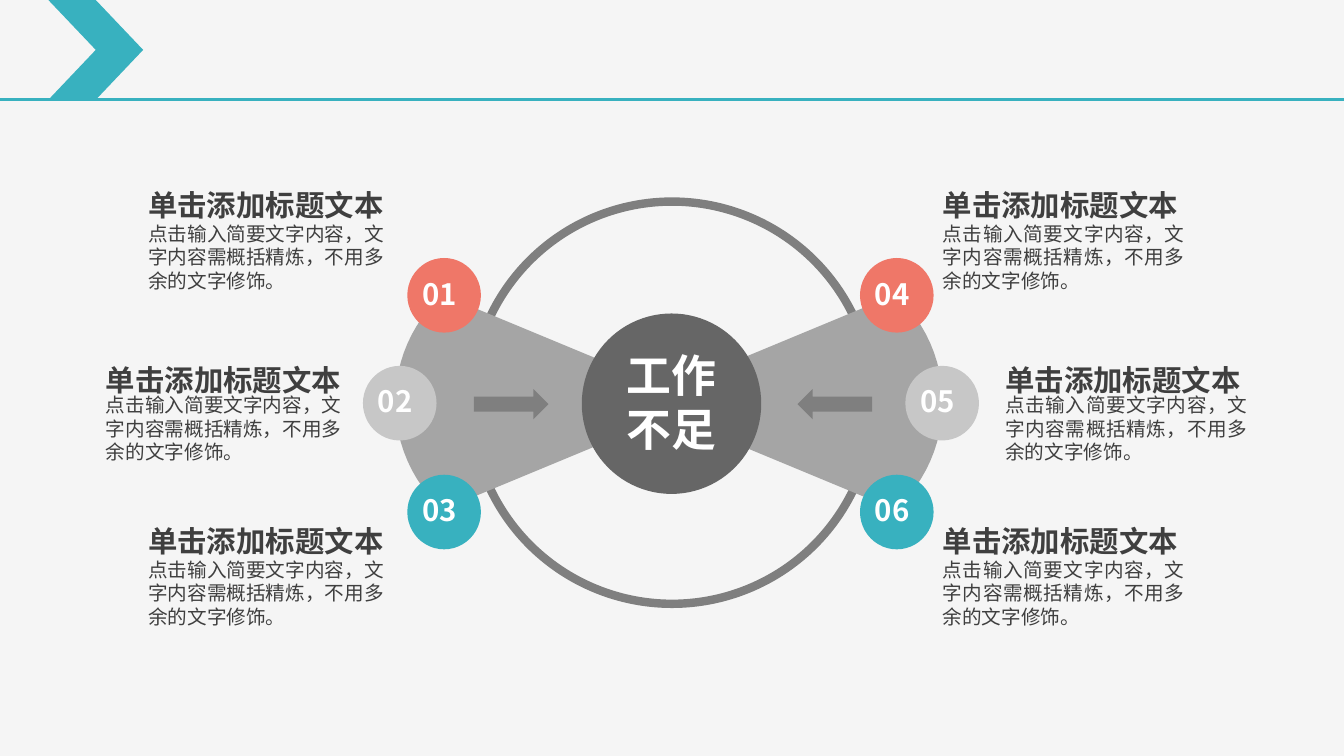
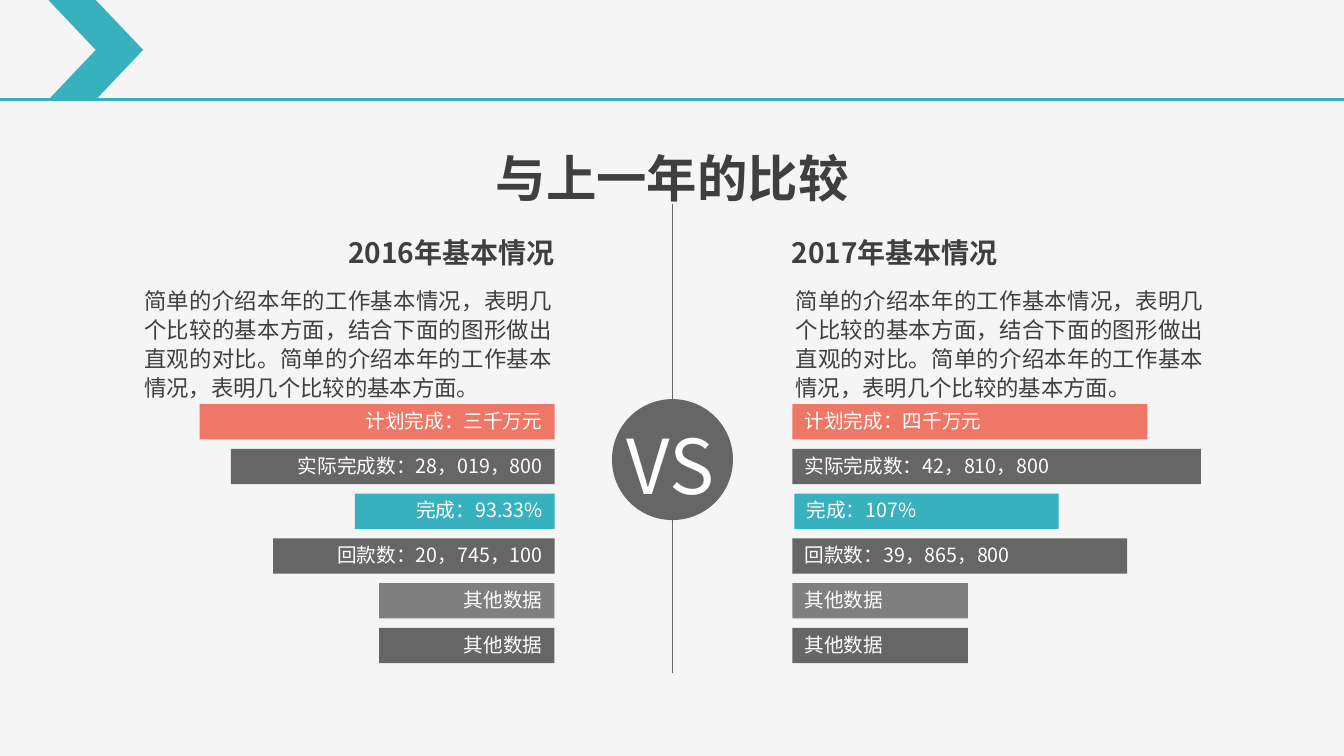
from math import cos, radians, sin

from lxml.etree import SubElement
from pptx import Presentation
from pptx.dml.color import RGBColor
from pptx.enum.shapes import MSO_CONNECTOR as Link, MSO_SHAPE as Kind
from pptx.enum.text import MSO_ANCHOR as Anchor, PP_ALIGN as Align
from pptx.oxml.ns import qn
from pptx.util import Inches, Pt

FONT = "Noto Sans CJK SC"
TEAL, CORAL, WHITE, INK = "38B1BF", "EF7768", "FFFFFF", "3F3F3F"
DARK, GRAY, SILVER, PALE = "666666", "7F7F7F", "A5A5A5", "C7C7C7"
rgb = RGBColor.from_string


def paint(item, fill=None):
    """Give a shape a plain fill, or none, without outline or shadow."""
    item.shadow.inherit = False
    item.line.fill.background()
    if fill:
        item.fill.solid()
        item.fill.fore_color.rgb = rgb(fill)
    else:
        item.fill.background()
    return item


def write(item, text, size, color=INK, bold=False, align=Align.LEFT,
          anchor=Anchor.TOP, pad=(0, 0, 0, 0), wrap=True, space=None):
    """Set the text of a shape; pad is left, top, right, bottom in inches."""
    frame = item.text_frame
    frame.word_wrap = wrap
    frame.vertical_anchor = anchor
    (frame.margin_left, frame.margin_top,
     frame.margin_right, frame.margin_bottom) = map(Inches, pad)
    para = frame.paragraphs[0]
    para.alignment = align
    if space:
        para.line_spacing = space
    run = para.add_run()
    run.text = text
    font = run.font
    font.name, font.size, font.bold = FONT, Pt(size), bold
    font.color.rgb = rgb(color)
    SubElement(font._element, qn("a:ea")).set("typeface", FONT)


deck = Presentation()
deck.slide_width, deck.slide_height = Inches(13.33), Inches(7.5)
back = deck.slide_master.background.fill
back.solid()
back.fore_color.rgb = rgb("F5F5F5")
gaps, versus = [deck.slides.add_slide(deck.slide_layouts[6]) for _ in range(2)]

# Rules and the header chevron
head = (0, 0.99, 13.33, 0.99)
for page, ends, color, width in [
    (gaps, head, TEAL, 2.25),
    (versus, head, TEAL, 2.25),
    (versus, (6.67, 2.02, 6.67, 6.68), DARK, 0.75),
]:
    rule = page.shapes.add_connector(Link.STRAIGHT, *map(Inches, ends))
    rule.line.color.rgb = rgb(color)
    rule.line.width = Pt(width)
    SubElement(rule._element.spPr, qn("a:effectLst"))
for page in (gaps, versus):
    box = map(Inches, (0.48, 0, 0.94, 0.99))
    paint(page.shapes.add_shape(Kind.CHEVRON, *box), TEAL)

# Slide 1: ring with two wings
shapes = gaps.shapes
ring = paint(shapes.add_shape(Kind.OVAL, *map(Inches, (4.67, 2, 3.99, 3.99))))
ring.line.color.rgb = rgb(GRAY)
ring.line.width = Pt(6)

arc = [radians(47.4 * step / 12) for step in range(-12, 13)]
wing = [(6.96, 3.99)] + [(5.37 - 1.45 * cos(a), 3.99 + 1.45 * sin(a)) for a in arc]
for mirror in (False, True):
    spots = [(Inches(13.27 - x if mirror else x), Inches(y)) for x, y in wing]
    path = shapes.build_freeform(*spots[0])
    path.add_line_segments(spots[1:], close=True)
    paint(path.convert_to_shape(), SILVER)

hub = paint(shapes.add_shape(Kind.OVAL, *map(Inches, (5.77, 3.11, 1.78, 1.79))), DARK)
write(hub, "工作不足", 32, WHITE, bold=True, align=Align.CENTER,
      anchor=Anchor.MIDDLE, pad=(0, 0, 0, 0.04))
for kind, left in [(Kind.RIGHT_ARROW, 4.7), (Kind.LEFT_ARROW, 7.91)]:
    paint(shapes.add_shape(kind, *map(Inches, (left, 3.86, 0.74, 0.3))), GRAY)

# Numbered badges with their notes
rows = [(2.56, CORAL, 1.86, 2.2), (3.63, PALE, 3.59, 3.9), (4.71, TEAL, 5.19, 5.53)]
sides = [
    ((4.04, 3.6, 4.04), (1.47, 1.05, 1.47), 2.36, Align.LEFT),
    ((8.53, 8.98, 8.53), (9.35, 9.97, 9.35), 2.4, Align.JUSTIFY),
]
for side, (dots, lefts, width, align) in enumerate(sides):
    for row, (top, color, high, low) in enumerate(rows):
        box = map(Inches, (dots[row], top, 0.73, 0.74))
        dot = paint(shapes.add_shape(Kind.OVAL, *box), color)
        write(dot, f"{side * 3 + row + 1:02}", 21, WHITE, bold=True,
              align=Align.CENTER, anchor=Anchor.MIDDLE, pad=(0, 0, 0.09, 0.04))
        box = map(Inches, (lefts[row], low, width, 0.71))
        write(shapes.add_textbox(*box),
              "点击输入简要文字内容，文字内容需概括精炼，不用多余的文字修饰。",
              14, align=align)
        box = map(Inches, (lefts[row], high, width, 0.35))
        write(shapes.add_textbox(*box), "单击添加标题文本", 21, bold=True)

# Slide 2: two years side by side
shapes = versus.shapes
write(shapes.add_textbox(*map(Inches, (4.67, 1.46, 3.99, 0.6))),
      "与上一年的比较", 36, bold=True, align=Align.CENTER)
disc = paint(shapes.add_shape(Kind.OVAL, *map(Inches, (6.07, 3.96, 1.2, 1.2))), DARK)
write(disc, "VS", 54, WHITE, align=Align.CENTER, anchor=Anchor.MIDDLE,
      pad=(0, 0.09, 0.04, 0), wrap=False)

tints = [CORAL, DARK, TEAL, DARK, GRAY, DARK]
years = [
    ("2016年基本情况", 2.71, 1.43, Align.RIGHT, [
        (1.98, 3.52, "计划完成：三千万元"),
        (2.29, 3.21, "实际完成数：28，019，800"),
        (3.52, 1.98, "完成：93.33%"),
        (2.71, 2.79, "回款数：20，745，100"),
        (3.76, 1.74, "其他数据"),
        (3.76, 1.74, "其他数据"),
    ]),
    ("2017年基本情况", 7.85, 7.89, Align.LEFT, [
        (7.86, 3.52, "计划完成：四千万元"),
        (7.86, 4.05, "实际完成数：42，810，800"),
        (7.88, 2.62, "完成：107%"),
        (7.86, 3.32, "回款数：39，865，800"),
        (7.86, 1.74, "其他数据"),
        (7.86, 1.74, "其他数据"),
    ]),
]
for title, left, edge, align, bars in years:
    write(shapes.add_textbox(*map(Inches, (left, 2.34, 2.79, 0.34))),
          title, 20, bold=True, align=align)
    write(shapes.add_textbox(*map(Inches, (edge, 2.83, 4.05, 0.95))),
          "简单的介绍本年的工作基本情况，表明几个比较的基本方面，"
          "结合下面的图形做出直观的对比。"
          "简单的介绍本年的工作基本情况，表明几个比较的基本方面。",
          16, align=Align.JUSTIFY, space=1.08)
    for row, (start, width, label) in enumerate(bars):
        box = map(Inches, (start, 4.01 + 2.22 / 5 * row, width, 0.35))
        bar = paint(shapes.add_shape(Kind.RECTANGLE, *box), tints[row])
        write(bar, label, 14, WHITE, align=align, anchor=Anchor.MIDDLE,
              pad=(0.12, 0, 0.12, 0), space=0.93)

deck.save("out.pptx")
